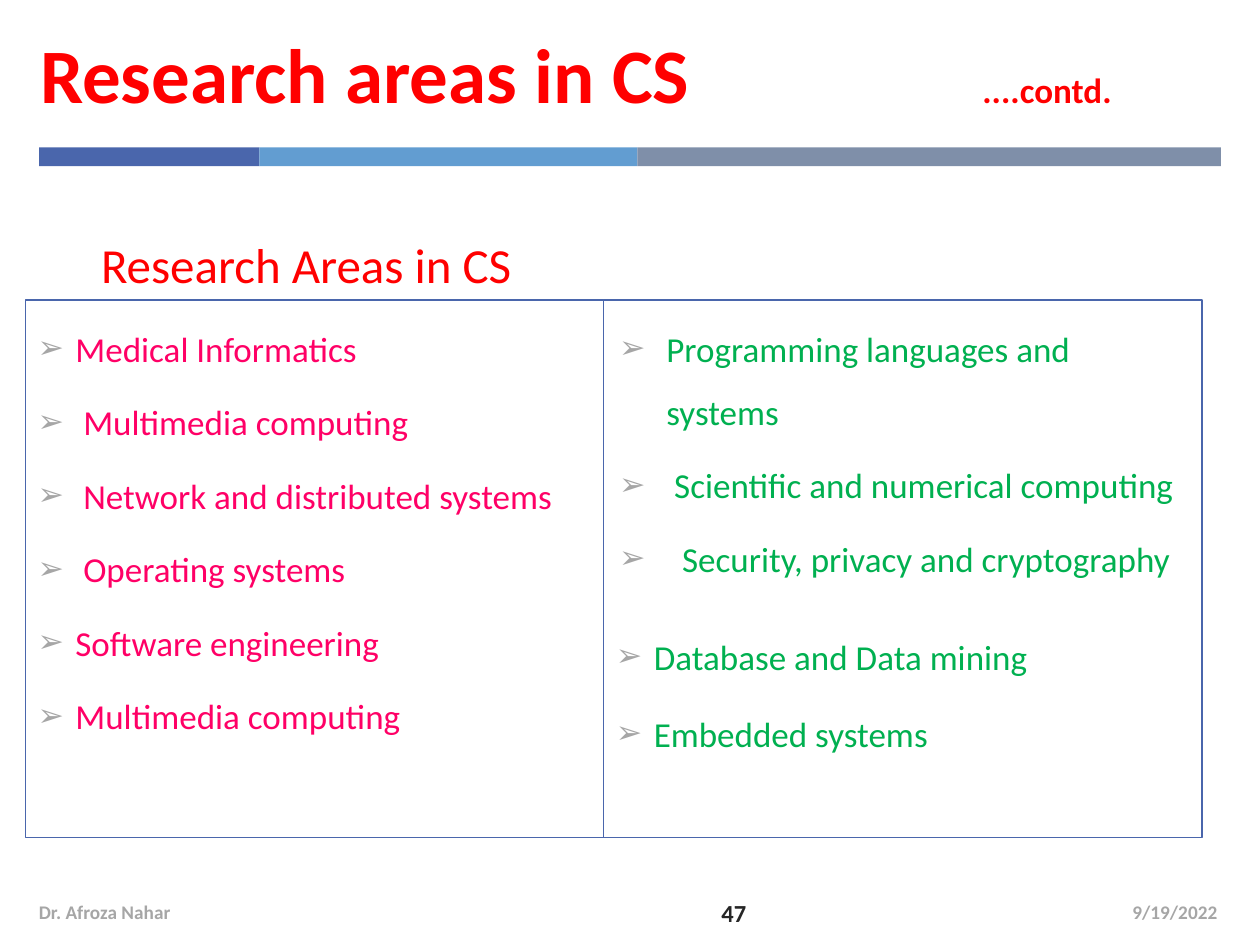
from lxml import etree
from pptx import Presentation
from pptx import util as u
from pptx.dml.color import RGBColor
from pptx.enum import shapes, text
from pptx.oxml.ns import qn

RED, PINK, GREEN = "FF0000", "FF0066", "00B050"
BLUE, GRAY, DARK = "4A66AC", "A6A6A6", "262626"
LEFT, CENTER = text.PP_ALIGN.LEFT, text.PP_ALIGN.CENTER
RIGHT, JUSTIFY = text.PP_ALIGN.RIGHT, text.PP_ALIGN.JUSTIFY
MIDDLE, BOTTOM = text.MSO_ANCHOR.MIDDLE, text.MSO_ANCHOR.BOTTOM

LEFT_AREAS = [
    ("Medical Informatics", 21.6, -27),
    ("Multimedia computing", 26.1, -31.5),
    ("Network and distributed systems", 26.1, -31.5),
    ("Operating systems", 26.1, -31.5),
    ("Software engineering", 21.6, -27),
    ("Multimedia computing", 21.6, -27),
]
RIGHT_AREAS = [
    ("Programming languages and systems", 28.8, -27),
    ("Scientific and numerical computing", 33.3, -31.5),
    ("Security, privacy and cryptography", 37.8, -36),
]


def color(value):
    """Turn a hex string into a colour."""
    return RGBColor.from_string(value)


def add_run(paragraph, words, size, hue, bold=False):
    """Append a styled run to a paragraph."""
    run = paragraph.add_run()
    run.text = words
    run.font.name = "Calibri"
    run.font.size = u.Pt(size)
    run.font.bold = bold
    run.font.color.rgb = color(hue)


def add_bar(slide, left, width, hue):
    """Draw one segment of the band under the title."""
    bar = slide.shapes.add_shape(shapes.MSO_SHAPE.RECTANGLE, u.Pt(left),
                                 u.Pt(84.2), u.Pt(width), u.Pt(10.8))
    bar.shadow.inherit = False
    bar.fill.solid()
    bar.fill.fore_color.rgb = color(hue)
    bar.line.fill.background()


def add_text(slide, box, runs, align=LEFT, anchor=MIDDLE):
    """Add a one-paragraph text box and return its paragraph."""
    shape = slide.shapes.add_textbox(*map(u.Pt, box))
    frame = shape.text_frame
    frame.word_wrap = True
    frame.vertical_anchor = anchor
    paragraph = frame.paragraphs[0]
    paragraph.alignment = align
    for run in runs:
        add_run(paragraph, *run)
    return paragraph


def add_tab(paragraph, position):
    """Set one left tab stop on a paragraph."""
    properties = paragraph._p.get_or_add_pPr()
    stops = etree.SubElement(properties, qn("a:tabLst"))
    etree.SubElement(stops, qn("a:tab"), pos=str(u.Pt(position)), algn="l")


def add_panel(slide, left, width):
    """Draw an outlined panel and return its text frame."""
    panel = slide.shapes.add_shape(shapes.MSO_SHAPE.RECTANGLE, u.Pt(left),
                                   u.Pt(171.4), u.Pt(width), u.Pt(307.4))
    panel.shadow.inherit = False
    panel.fill.background()
    panel.line.color.rgb = color(BLUE)
    panel.line.width = u.Pt(0.75)
    frame = panel.text_frame
    frame.word_wrap = True
    frame.vertical_anchor = text.MSO_ANCHOR.TOP
    frame.margin_right = u.Pt(12)
    return frame


def add_bullet(frame, words, margin, indent, hue, align=LEFT, before=6, spacing=1.5):
    """Add an arrow-bulleted paragraph to a panel."""
    first = not frame.paragraphs[0].runs
    paragraph = frame.paragraphs[0] if first else frame.add_paragraph()
    paragraph.alignment = align
    paragraph.line_spacing = spacing
    paragraph.space_before = u.Pt(0 if first else before)
    properties = paragraph._p.get_or_add_pPr()
    properties.set("marL", str(u.Pt(margin)))
    properties.set("indent", str(u.Pt(indent)))
    bullet_color = etree.SubElement(properties, qn("a:buClr"))
    etree.SubElement(bullet_color, qn("a:srgbClr"), val=GRAY)
    etree.SubElement(properties, qn("a:buSzPct"), val="90000")
    etree.SubElement(properties, qn("a:buFont"), typeface="Wingdings 3")
    properties[-1].set("typeface", "Calibri")
    etree.SubElement(properties, qn("a:buChar"), char="➢")
    add_run(paragraph, words, 20, hue)


def main():
    """Build and save the slide."""
    presentation = Presentation()
    presentation.slide_width, presentation.slide_height = u.Pt(720), u.Pt(540)
    slide = presentation.slides.add_slide(presentation.slide_layouts[6])

    left = 22.3
    for width, hue in ((126, BLUE), (216, "629DD1"), (333.4, "7F8FA9")):
        add_bar(slide, left, width, hue)
        left += width

    title = add_text(slide, (15.8, 5.8, 674, 72),
                     [("Research areas in CS\t", 44, RED, True),
                      ("....contd.", 20, RED, True)])
    add_tab(title, 538.5)
    add_text(slide, (15.8, 128.2, 318.2, 43.2),
             [("Research Areas in CS", 28, RED)], CENTER, BOTTOM)

    frame = add_panel(slide, 14.4, 330.5)
    for area in LEFT_AREAS:
        add_bullet(frame, *area, PINK, JUSTIFY)
    frame = add_panel(slide, 344.9, 342)
    for area in RIGHT_AREAS:
        add_bullet(frame, *area, GREEN)
    add_bullet(frame, "Database and Data mining", 21.6, -36, GREEN, JUSTIFY, 20)
    add_bullet(frame, "Embedded systems", 21.6, -36, GREEN, LEFT, 20, 1)

    add_text(slide, (535, 506.9, 167.8, 28.8), [("9/19/2022", 11, GRAY, True)], RIGHT)
    add_text(slide, (15.1, 506.9, 230.4, 28.8), [("Dr. Afroza Nahar", 11, GRAY, True)])
    add_text(slide, (383.8, 507.6, 49.7, 28.1), [("47", 14, DARK, True)], RIGHT)
    presentation.save("out.pptx")


if __name__ == "__main__":
    main()
